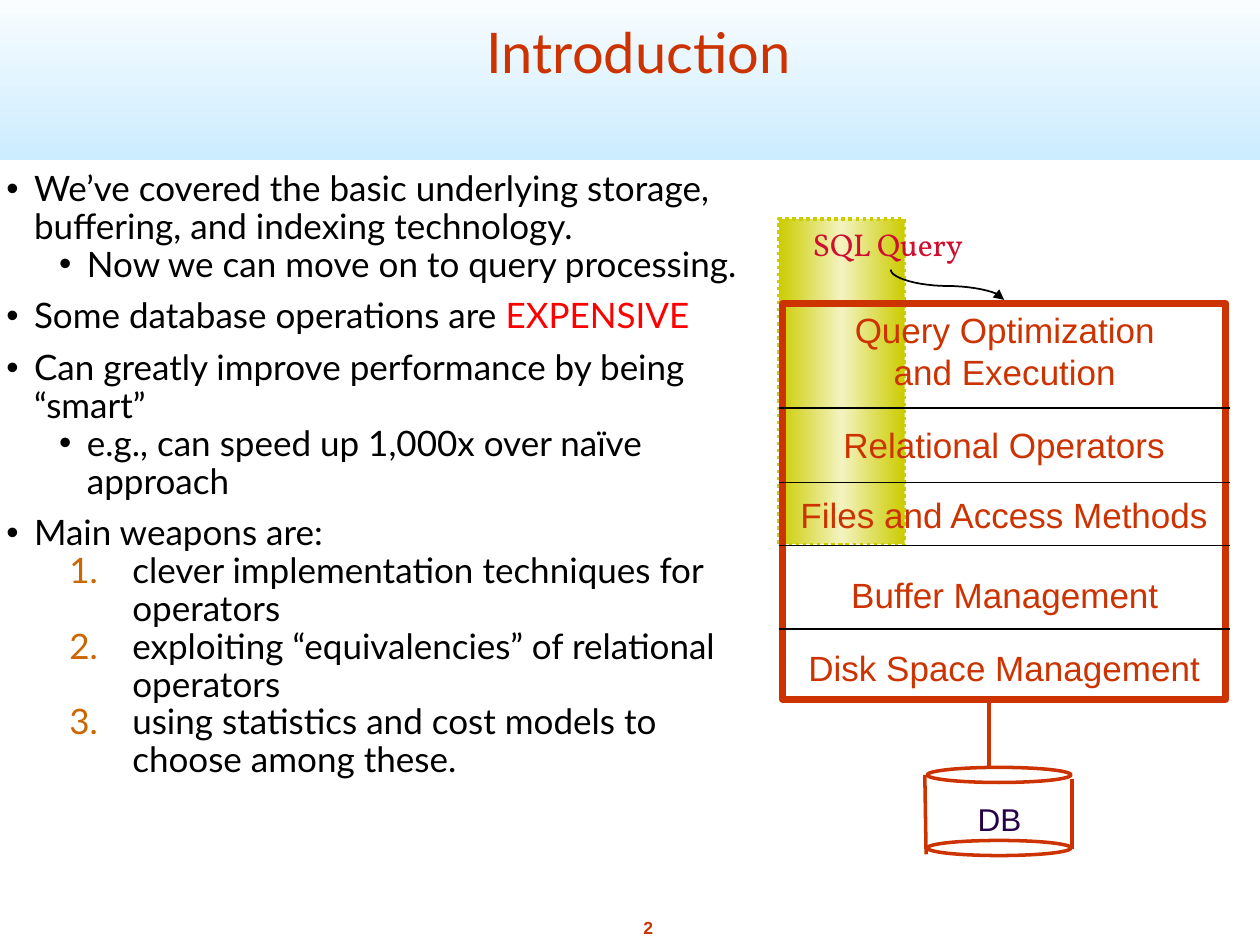
from copy import deepcopy
from dataclasses import dataclass

from lxml.etree import SubElement
from pptx import Presentation
from pptx.dml.color import RGBColor
from pptx.enum.dml import MSO_LINE
from pptx.enum.shapes import MSO_CONNECTOR, MSO_SHAPE
from pptx.enum.text import MSO_ANCHOR, MSO_AUTO_SIZE, PP_ALIGN
from pptx.oxml.ns import qn
from pptx.util import Inches, Pt


@dataclass(frozen=True)
class Theme:
    rust: str = "CC3300"
    black: str = "000000"
    red: str = "FF0000"
    number: str = "CC6600"
    sky: str = "CCECFF"
    white: str = "FFFFFF"
    olive: str = "CCCC00"
    cream: str = "F3F3C1"
    plum: str = "280049"
    crimson: str = "CF0E30"
    heading: str = "Lato"
    label: str = "Arial"
    query: str = "Vollkorn"
    title_size: int = 32
    text_size: int = 20
    small_size: int = 18
    page_size: int = 10


theme = Theme()


def write(box, lines, font, size, color, align, anchor=MSO_ANCHOR.TOP, wrap=False):
    frame = box.text_frame
    frame.text = "\n".join(lines)
    frame.word_wrap = wrap
    frame.auto_size = MSO_AUTO_SIZE.NONE
    frame.vertical_anchor = anchor
    frame.margin_left = frame.margin_right = Inches(0.05)
    frame.margin_top = frame.margin_bottom = Inches(0.05)
    for para in frame.paragraphs:
        para.alignment = align
        for span in para.runs:
            span.font.name = font
            span.font.size = Pt(size)
            span.font.color.rgb = RGBColor.from_string(color)
    return frame


def connect(start_x, start_y, end_x, end_y, color, width):
    line = page.shapes.add_connector(
        MSO_CONNECTOR.STRAIGHT, Inches(start_x), Inches(start_y), Inches(end_x), Inches(end_y)
    )
    line.line.color.rgb = RGBColor.from_string(color)
    line.line.width = Pt(width)
    SubElement(line._element.spPr, qn("a:effectLst"))


deck = Presentation()
deck.slide_width, deck.slide_height = Inches(10), Inches(7.5)
page = deck.slides.add_slide(deck.slide_layouts[1])
title, body = page.placeholders

header = page.shapes.add_shape(MSO_SHAPE.RECTANGLE, 0, Inches(-0.17), Inches(10), Inches(1.44))
header.shadow.inherit = False
header.line.fill.background()
header.fill.gradient()
header.fill.gradient_angle = 90
for stop, color in zip(header.fill.gradient_stops, (theme.sky, theme.white)):
    stop.color.rgb = RGBColor.from_string(color)
page.shapes._spTree.insert(2, header._element)

title.left, title.top, title.width, title.height = Inches(0.82), 0, Inches(8.5), Inches(0.72)
write(title, ["Introduction"], theme.heading, theme.title_size, theme.rust,
      PP_ALIGN.CENTER, MSO_ANCHOR.BOTTOM, True)

points = [
    ("point", "We’ve covered the basic underlying storage, buffering, and indexing technology."),
    ("detail", "Now we can move on to query processing."),
    ("point", "Some database operations are "),
    ("point", "Can greatly improve performance by being “smart”"),
    ("detail", "e.g., can speed up 1,000x over naïve approach"),
    ("point", "Main weapons are:"),
    ("step", "clever implementation techniques for operators"),
    ("step", "exploiting “equivalencies” of relational operators"),
    ("step", "using statistics and cost models to choose among these."),
]
indents = {"point": (0.22, -0.22), "detail": (0.64, -0.22), "step": (1, -0.5)}
body.left, body.top, body.width, body.height = 0, Inches(1.31), Inches(6.12), Inches(6.03)
frame = write(body, [text for kind, text in points], theme.heading, theme.text_size,
              theme.black, PP_ALIGN.LEFT, wrap=True)
for para, (kind, text) in zip(frame.paragraphs, points):
    para.level = 0 if kind == "point" else 1
    para.line_spacing = 0.9
    para.space_before = Pt(8 if kind == "point" else 0)
    para.space_after = Pt(0)
    margin, hanging = indents[kind]
    properties = para._p.get_or_add_pPr()
    properties.set("marL", str(Inches(margin)))
    properties.set("indent", str(Inches(hanging)))
    if kind == "step":
        SubElement(SubElement(properties, qn("a:buClr")), qn("a:srgbClr"), val=theme.number)
        SubElement(properties, qn("a:buFont"), typeface=theme.heading)
        SubElement(properties, qn("a:buAutoNum"), type="arabicPeriod")
    else:
        SubElement(properties, qn("a:buFont"), typeface=theme.label)
        SubElement(properties, qn("a:buChar"), char="•")

span = frame.paragraphs[2].add_run()
span.text = "EXPENSIVE"
span.font.name = theme.heading
span.font.size = Pt(theme.text_size)
span.font.color.rgb = RGBColor.from_string(theme.red)

band = page.shapes.add_shape(
    MSO_SHAPE.RECTANGLE, Inches(6.18), Inches(1.74), Inches(1), Inches(2.58)
)
band.shadow.inherit = False
band.line.color.rgb = RGBColor.from_string(theme.olive)
band.line.width = Pt(2)
band.line.dash_style = MSO_LINE.ROUND_DOT
band.fill.gradient()
band.fill.gradient_angle = 0
first_stop = band._element.spPr.find(".//" + qn("a:gs"))
first_stop.addnext(deepcopy(first_stop))
for stop, color, position in zip(
    band.fill.gradient_stops, (theme.olive, theme.cream, theme.olive), (0, 0.5, 1)
):
    stop.color.rgb = RGBColor.from_string(color)
    stop.position = position

center, left = PP_ALIGN.CENTER, PP_ALIGN.LEFT
label, size, small = theme.label, theme.text_size, theme.small_size
labels = [
    (6.73, 2.4, 2.49, 0.73, ["Query Optimization", "and Execution"], label, size, theme.rust, center),
    (6.64, 3.31, 2.66, 0.41, ["Relational Operators"], label, size, theme.rust, center),
    (6.3, 3.87, 3.34, 0.41, ["Files and Access Methods"], label, size, theme.rust, center),
    (6.7, 4.5, 2.55, 0.41, ["Buffer Management"], label, size, theme.rust, center),
    (6.36, 5.08, 3.22, 0.41, ["Disk Space Management"], label, size, theme.rust, center),
    (7.71, 6.3, 0.46, 0.38, ["DB"], label, small, theme.plum, left),
    (6.4, 1.74, 1.35, 0.41, ["SQL Query"], theme.query, small, theme.crimson, left),
    (5.05, 7.23, 0.19, 0.27, ["2"], label, theme.page_size, theme.rust, center),
]
for x, y, width, height, lines, font, points_high, color, align in labels:
    box = page.shapes.add_textbox(Inches(x), Inches(y), Inches(width), Inches(height))
    frame = write(box, lines, font, points_high, color, align)
page_number = frame.paragraphs[0]
page_number.space_before = Pt(6)
page_number.runs[0].font.bold = True

for kind, x, y, width, height, weight in [
    (MSO_SHAPE.RECTANGLE, 6.21, 2.41, 3.52, 3.14, 4),
    (MSO_SHAPE.OVAL, 7.36, 6.09, 1.14, 0.12, 2),
    (MSO_SHAPE.OVAL, 7.36, 6.67, 1.14, 0.12, 2),
]:
    outline = page.shapes.add_shape(kind, Inches(x), Inches(y), Inches(width), Inches(height))
    outline.shadow.inherit = False
    outline.fill.background()
    outline.line.color.rgb = RGBColor.from_string(theme.rust)
    outline.line.width = Pt(weight)

for y in (3.24, 3.83, 4.33, 4.99):
    connect(6.18, y, 9.76, y, theme.black, 1)
for ends in ((7.34, 6.15, 7.35, 6.78), (8.51, 6.18, 8.51, 6.74), (7.85, 5.58, 7.85, 6.08)):
    connect(*ends, theme.rust, 2)

curves = [
    ((7.07, 2.14), (7.07, 2.21), (7.3, 2.27), (7.52, 2.27)),
    ((7.52, 2.27), (7.75, 2.27), (7.97, 2.33), (7.97, 2.38)),
]
steps = 12
path_points = []
for curve in curves:
    for step in range(1, steps + 1):
        t = step / steps
        weights = ((1 - t) ** 3, 3 * t * (1 - t) ** 2, 3 * t**2 * (1 - t), t**3)
        path_points.append(
            tuple(Inches(sum(w * point[axis] for w, point in zip(weights, curve))) for axis in (0, 1))
        )
builder = page.shapes.build_freeform(Inches(7.07), Inches(2.14))
builder.add_line_segments(path_points, close=False)
arrow = builder.convert_to_shape()
arrow.shadow.inherit = False
arrow.fill.background()
arrow.line.color.rgb = RGBColor.from_string(theme.black)
arrow.line.width = Pt(1)
SubElement(arrow.line._get_or_add_ln(), qn("a:tailEnd"), type="triangle")

deck.save("out.pptx")
